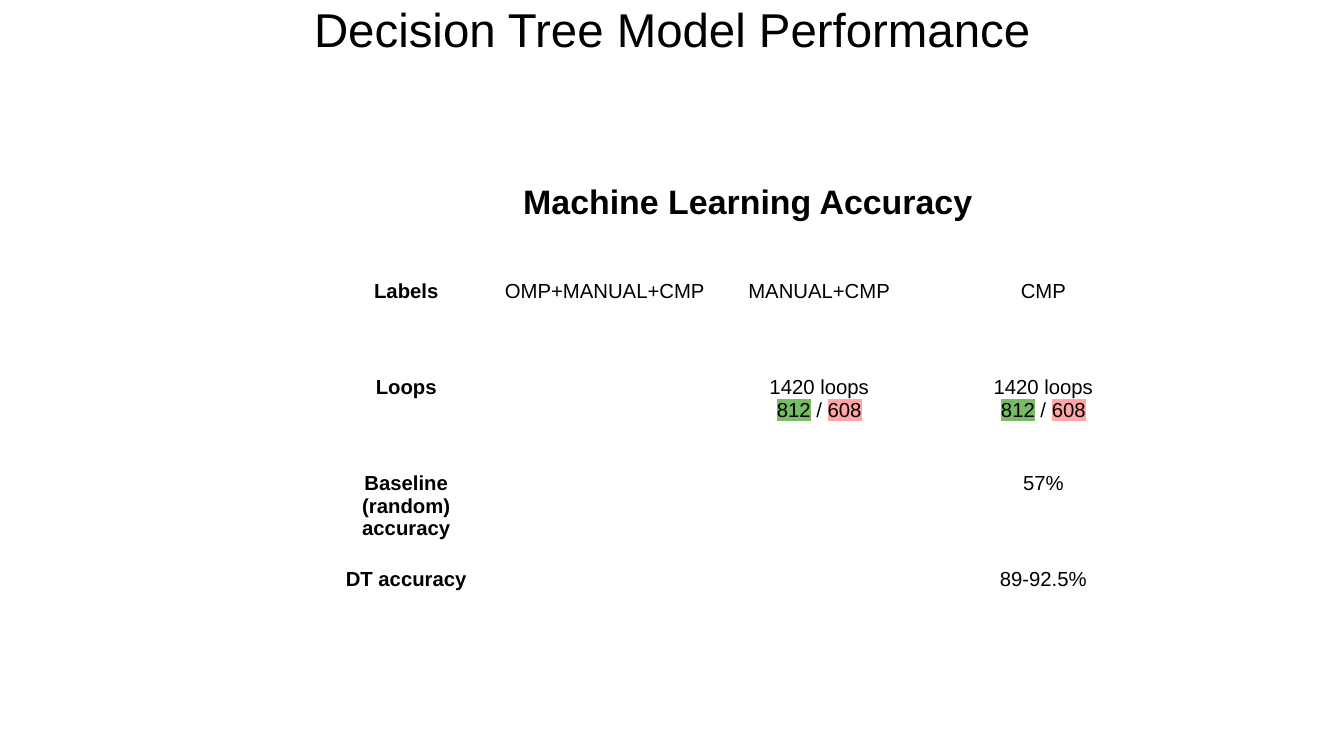
import pptx
import pptx.dml.color
import pptx.enum.text
import pptx.oxml
import pptx.oxml.ns
import pptx.util

Pt = pptx.util.Pt
COLORS = {"text": "000000", "border": "FFFFFF", "green": "77BC65", "red": "FFA6A6"}


class Deck:
    font = "Arial"

    def __init__(self, width, height):
        self.prs = pptx.Presentation()
        self.prs.slide_width, self.prs.slide_height = Pt(width), Pt(height)
        self.s = self.prs.slides.add_slide(self.prs.slide_layouts[6])

    def xml(self, tag, color, attrs="", wrap="{}"):
        ns = pptx.oxml.ns.nsdecls("a")
        inner = wrap.format(f'<a:srgbClr val="{COLORS[color]}"/>')
        return pptx.oxml.parse_xml(f"<a:{tag} {ns} {attrs}>{inner}</a:{tag}>")

    def run(self, p, text, size, bold=False, highlight=None):
        r = p.add_run()
        r.text = text
        r.font.size, r.font.bold, r.font.name = Pt(size), bold, self.font
        r.font.color.rgb = pptx.dml.color.RGBColor.from_string(COLORS["text"])
        if highlight:
            fill = r.font._element.find(pptx.oxml.ns.qn("a:solidFill"))
            fill.addnext(self.xml("highlight", highlight))

    def paragraphs(self, tf, lines, size, bold=False):
        for i, line in enumerate(lines):
            p = tf.add_paragraph() if i else tf.paragraphs[0]
            p.alignment = pptx.enum.text.PP_ALIGN.CENTER
            for text, highlight in line:
                self.run(p, text, size, bold, highlight)

    def title(self, text, x, y, w, h, size):
        sp = self.s.shapes.add_textbox(Pt(x), Pt(y), Pt(w), Pt(h))
        tf = sp.text_frame
        tf.word_wrap = True
        tf.vertical_anchor = pptx.enum.text.MSO_ANCHOR.MIDDLE
        tf.margin_left = tf.margin_right = tf.margin_top = tf.margin_bottom = 0
        self.paragraphs(tf, [[(text, None)]], size)

    def cell_style(self, cell):
        cell.fill.background()
        tc_pr = cell._tc.get_or_add_tcPr()
        for i, side in enumerate(("lnL", "lnR", "lnT", "lnB")):
            line = self.xml(side, "border", 'w="720"', "<a:solidFill>{}</a:solidFill>")
            tc_pr.insert(i, line)

    def table(self, heading, rows, x, y, widths, row_height):
        count = len(rows) + 1
        table = self.s.shapes.add_table(
            count, len(widths), Pt(x), Pt(y), Pt(sum(widths)), Pt(row_height * count)
        ).table
        table.first_row = table.horz_banding = False
        for column, width in zip(table.columns, widths):
            column.width = Pt(width)
        for row in table.rows:
            row.height = Pt(row_height)
            for cell in row.cells:
                self.cell_style(cell)
        table.cell(0, 0).merge(table.cell(0, len(widths) - 1))
        self.paragraphs(table.cell(0, 0).text_frame, [[(heading, None)]], 20, True)
        for i, row in enumerate(rows, 1):
            for j, lines in enumerate(row):
                self.paragraphs(table.cell(i, j).text_frame, lines, 12, j == 0)


def plain(*texts):
    return [[[(text, None)]] if text else [] for text in texts]


def main():
    deck = Deck(793.44, 446.4)
    deck.title("Decision Tree Model Performance", 0, -0.3, 793.44, 34.5, 28)
    loops = [[("1420 loops", None)], [("812", "green"), (" / ", None), ("608", "red")]]
    rows = [
        plain("Labels", "OMP+MANUAL+CMP", "MANUAL+CMP", "CMP"),
        plain("Loops", "") + [loops, loops],
        plain("Baseline (random) accuracy", "", "", "57%"),
        plain("DT accuracy", "", "", "89-92.5%"),
    ]
    deck.table("Machine Learning Accuracy", rows, 192, 105, [95.7, 138.8, 114.3, 150.4], 56.7)
    deck.prs.save("out.pptx")


if __name__ == "__main__":
    main()
